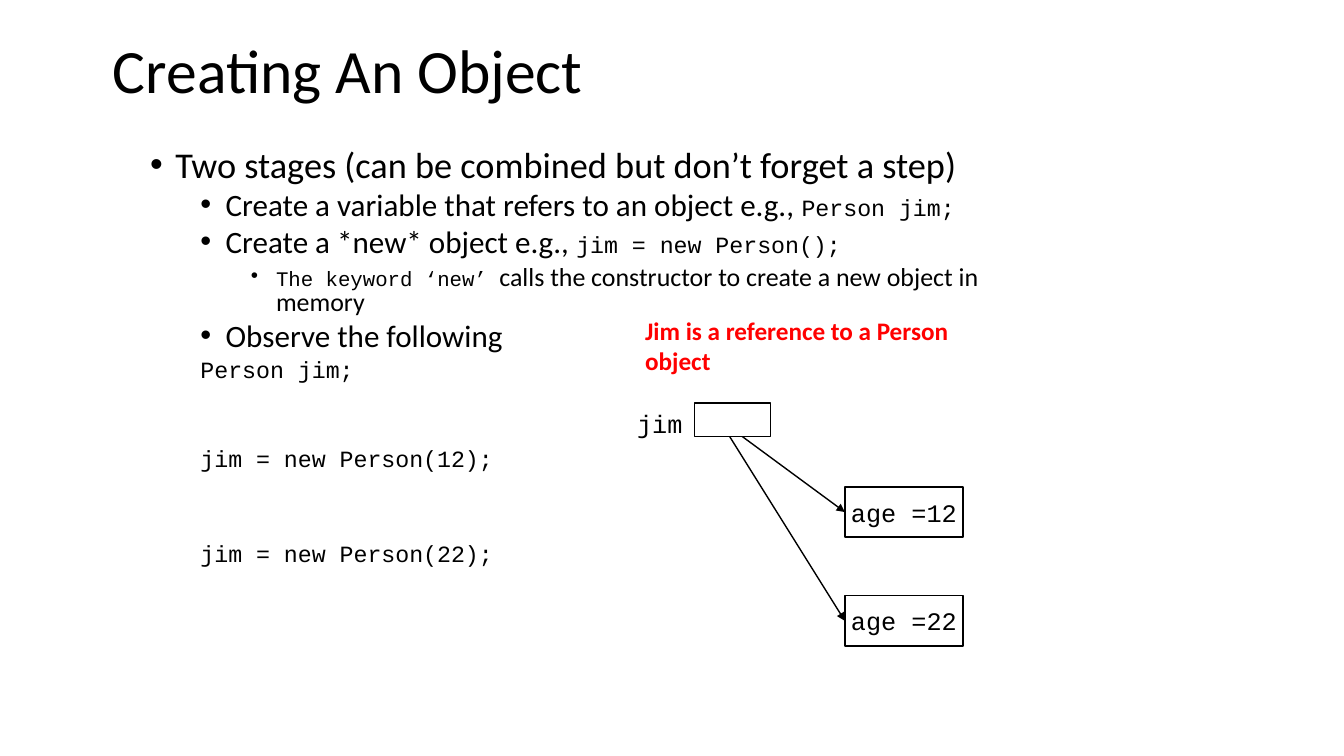
from pptx import Presentation
from pptx.dml.color import RGBColor
from pptx.enum.shapes import MSO_CONNECTOR, MSO_SHAPE
from pptx.enum.text import MSO_ANCHOR, PP_ALIGN
from pptx.oxml.ns import qn
from pptx.util import Pt
from lxml import etree

PX = 9144  # 100 px to the inch
BLACK = RGBColor(0, 0, 0)
WHITE = RGBColor(255, 255, 255)
RED = RGBColor(255, 0, 0)
SANS, MONO = "Calibri", "Courier New"
RECT, STRAIGHT = MSO_SHAPE.RECTANGLE, MSO_CONNECTOR.STRAIGHT
MIDDLE, LEFT, CENTER = MSO_ANCHOR.MIDDLE, PP_ALIGN.LEFT, PP_ALIGN.CENTER
LEFT_SIDE = 1

# Level, bulleted, space before, runs of (text, font, size)
BODY = [
    (0, True, 10, [("Two stages (can be combined but don’t forget a step)", SANS, 25.9)]),
    (1, True, 5, [("Create a variable that refers to an object e.g., ", SANS, 22.2),
                  ("Person jim;", MONO, 16.6)]),
    (1, True, 5, [("Create a *new* object e.g., ", SANS, 22.2),
                  ("jim = new Person();", MONO, 16.6)]),
    (2, True, 5, [("The keyword ‘new’ ", MONO, 14.8),
                  ("calls the constructor to create a new object in memory", SANS, 18.5)]),
    (1, True, 5, [("Observe the following", SANS, 22.2)]),
    (1, False, 5, [("Person jim;", MONO, 16.6)]),
    (1, False, 48, [("jim = new Person(12);", MONO, 16.6)]),
    (1, False, 52, [("jim = new Person(22);", MONO, 16.6)]),
]


def px(*values):
    return [v * PX for v in values]


def style(r, font, size, color=BLACK, bold=False):
    r.font.name, r.font.size, r.font.bold = font, Pt(size), bold
    r.font.color.rgb = color


def set_indent(p, level, bulleted):
    p.level = level
    pPr = p._p.get_or_add_pPr()
    pPr.set("marL", str((25 + 50 * level) * PX))
    pPr.set("indent", str(-25 * PX))
    if bulleted:
        etree.SubElement(pPr, qn("a:buFont")).set("typeface", "Arial")
        etree.SubElement(pPr, qn("a:buChar")).set("char", "•")
    else:
        etree.SubElement(pPr, qn("a:buNone"))


def add_title(s, text):
    title = s.shapes.title
    title.left, title.top, title.width, title.height = px(102, 0, 1150, 145)
    tf = title.text_frame
    tf.text = text
    tf.vertical_anchor = MIDDLE
    p = tf.paragraphs[0]
    p.alignment, p.line_spacing = LEFT, 0.9
    style(p.runs[0], SANS, 44)


def add_body(s, rows):
    tf = s.shapes.add_textbox(*px(139, 145, 894, 431)).text_frame
    tf.word_wrap = True
    for i, (level, bulleted, before, runs) in enumerate(rows):
        p = tf.add_paragraph() if i else tf.paragraphs[0]
        p.line_spacing, p.space_before = 0.8, Pt(before)
        set_indent(p, level, bulleted)
        for text, font, size in runs:
            r = p.add_run()
            r.text = text
            style(r, font, size)


def add_label(s, box, text, font, color=BLACK, bold=False):
    tf = s.shapes.add_textbox(*px(*box)).text_frame
    tf.word_wrap = True
    tf.text = text
    style(tf.paragraphs[0].runs[0], font, 18, color, bold)


def add_box(s, box, text=""):
    sp = s.shapes.add_shape(RECT, *px(*box))
    sp.shadow.inherit = False
    sp.fill.solid()
    sp.fill.fore_color.rgb = WHITE
    sp.line.color.rgb, sp.line.width = BLACK, Pt(1)
    if text:
        tf = sp.text_frame
        tf.text = text
        tf.word_wrap, tf.vertical_anchor = False, MIDDLE
        p = tf.paragraphs[0]
        p.alignment = CENTER
        style(p.runs[0], MONO, 18)
    return sp


def add_arrow(s, x, y, target):
    line = s.shapes.add_connector(STRAIGHT, *px(x, y, x, y))
    line.end_connect(target, LEFT_SIDE)
    line.line.color.rgb, line.line.width = BLACK, Pt(1)
    ln = line.line._get_or_add_ln()
    etree.SubElement(ln, qn("a:tailEnd")).set("type", "triangle")
    etree.SubElement(line._element.spPr, qn("a:effectLst"))


def main():
    prs = Presentation()
    prs.slide_width, prs.slide_height = px(1333, 750)
    s = prs.slides.add_slide(prs.slide_layouts[5])

    # Title and bullets
    add_title(s, "Creating An Object")
    add_body(s, BODY)

    # Labels of the reference
    add_label(s, (622, 400, 67, 40), "jim", MONO)
    add_label(s, (630, 308, 350, 70), "Jim is a reference to a Person object",
              SANS, RED, True)

    # Objects, with arrows from inside the reference box
    for top, age in ((483, 12), (591, 22)):
        person = add_box(s, (838, top, 117, 50), f"age ={age}")
        add_arrow(s, 713, 416, person)

    # Reference box, over the arrow starts
    add_box(s, (689, 400, 75, 33))

    prs.save("out.pptx")


if __name__ == "__main__":
    main()
